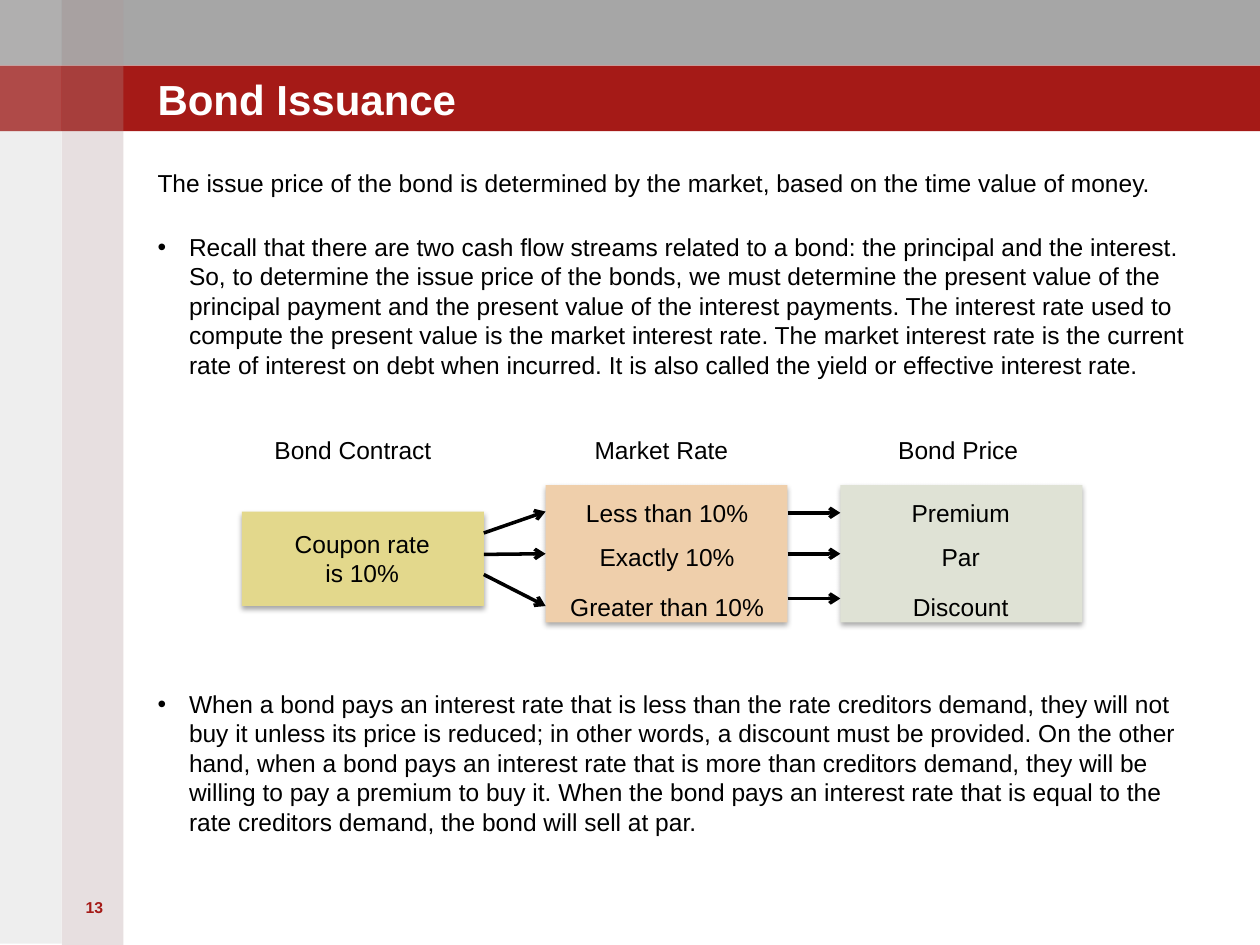
from dataclasses import dataclass
from typing import Optional

from lxml.etree import SubElement
from pptx import Presentation
from pptx.dml.color import RGBColor
from pptx.enum.shapes import MSO_CONNECTOR, MSO_SHAPE
from pptx.enum.text import MSO_ANCHOR, PP_ALIGN
from pptx.oxml.ns import qn
from pptx.util import Inches, Pt


@dataclass(frozen=True)
class Theme:
    font: str = "Arial"
    gray: str = "A6A6A6"
    red: str = "A51A17"
    rose: str = "A08284"
    stone: str = "938F8F"
    white: str = "FFFFFF"
    black: str = "000000"
    yellow: str = "E3D88C"
    orange: str = "EFCFAB"
    sage: str = "DFE2D5"
    title: float = 24
    body: float = 14
    number: float = 9
    arrow: float = 2


@dataclass(frozen=True)
class Box:
    x: float
    y: float
    w: float
    h: float


@dataclass(frozen=True)
class Stage:
    box: Box
    color: str
    text_box: Box
    lines: tuple[str, ...]
    spacing: tuple[float, ...]


@dataclass(frozen=True)
class Arrow:
    x1: float
    y1: float
    x2: float
    y2: float
    start: Optional[int] = None
    end: Optional[int] = None


THEME = Theme()
STRIP_W = 0.49
BAND_H = 0.52
ROW_SPACING = (1.4, 1.5, 1.7)

STAGES = (
    Stage(Box(1.92, 4.06, 1.92, 0.75), THEME.yellow, Box(1.75, 4.15, 2.25, 0.57),
          ("Coupon rate", "is 10%"), (1, 1)),
    Stage(Box(4.33, 3.85, 1.92, 1.09), THEME.orange, Box(4.17, 3.81, 2.25, 1.13),
          ("Less than 10%", "Exactly 10%", "Greater than 10%"), ROW_SPACING),
    Stage(Box(6.67, 3.85, 1.92, 1.09), THEME.sage, Box(6.5, 3.81, 2.25, 1.13),
          ("Premium", "Par", "Discount"), ROW_SPACING),
)
ARROWS = (
    Arrow(3.84, 4.23, 4.33, 4.06),
    Arrow(3.84, 4.4, 4.33, 4.4, end=1),
    Arrow(3.84, 4.56, 4.33, 4.81),
    Arrow(6.25, 4.07, 6.67, 4.07),
    Arrow(6.25, 4.4, 6.67, 4.4, start=1, end=2),
    Arrow(6.25, 4.75, 6.67, 4.75),
)
BODY = (
    "The issue price of the bond is determined by the market, based on the time value of money.",
    "Recall that there are two cash flow streams related to a bond: the principal and the interest. "
    "So, to determine the issue price of the bonds, we must determine the present value of the "
    "principal payment and the present value of the interest payments. The interest rate used to "
    "compute the present value is the market interest rate. The market interest rate is the current "
    "rate of interest on debt when incurred. It is also called the yield or effective interest rate.",
    "When a bond pays an interest rate that is less than the rate creditors demand, they will not "
    "buy it unless its price is reduced; in other words, a discount must be provided. On the other "
    "hand, when a bond pays an interest rate that is more than creditors demand, they will be "
    "willing to pay a premium to buy it. When the bond pays an interest rate that is equal to the "
    "rate creditors demand, the bond will sell at par.",
)
BODY_GAPS = (0, 20, 177)
HEADINGS = ("Bond Contract", "Market Rate", "Bond Price")
HEADING_TABS = (2.54, 4.95)


def add_rect(s, box: Box, color: str, alpha: int = 100):
    sp = s.shapes.add_shape(MSO_SHAPE.RECTANGLE, Inches(box.x), Inches(box.y),
                            Inches(box.w), Inches(box.h))
    sp.shadow.inherit = False
    sp.fill.solid()
    sp.fill.fore_color.rgb = RGBColor.from_string(color)
    sp.line.fill.background()
    if alpha < 100:
        clr = sp.fill._xPr.find(".//" + qn("a:srgbClr"))
        SubElement(clr, qn("a:alpha"), val=str(alpha * 1000))
    return sp


def add_shadow(sp) -> None:
    effects = sp._element.spPr.find(qn("a:effectLst"))
    shadow = SubElement(effects, qn("a:outerShdw"), blurRad=str(Pt(3.1)), dist=str(Pt(1.8)),
                        dir="5400000", rotWithShape="0")
    clr = SubElement(shadow, qn("a:srgbClr"), val=THEME.black)
    SubElement(clr, qn("a:alpha"), val="35000")


def add_text(s, box: Box, lines: tuple[str, ...], size: float, color: str = THEME.black,
             bold: bool = False, align: PP_ALIGN = PP_ALIGN.LEFT, inset: bool = True):
    tf = s.shapes.add_textbox(Inches(box.x), Inches(box.y),
                              Inches(box.w), Inches(box.h)).text_frame
    tf.word_wrap = True
    if not inset:
        tf.margin_left = tf.margin_top = tf.margin_right = tf.margin_bottom = 0
    tf.text = "\n".join(lines)
    for p in tf.paragraphs:
        p.alignment = align
        for r in p.runs:
            r.font.name = THEME.font
            r.font.size = Pt(size)
            r.font.bold = bold
            r.font.color.rgb = RGBColor.from_string(color)
    return tf


def add_bullet(p) -> None:
    pPr = p._p.get_or_add_pPr()
    pPr.set("marL", str(Inches(0.25)))
    pPr.set("indent", str(Inches(-0.25)))
    SubElement(pPr, qn("a:buFont"), typeface=THEME.font)
    SubElement(pPr, qn("a:buChar"), char="•")


def add_tabs(p, stops: tuple[float, ...]) -> None:
    tabs = SubElement(p._p.get_or_add_pPr(), qn("a:tabLst"))
    for stop in stops:
        SubElement(tabs, qn("a:tab"), pos=str(Inches(stop)), algn="l")


def add_arrow(s, arrow: Arrow, boxes: list) -> None:
    cxn = s.shapes.add_connector(MSO_CONNECTOR.STRAIGHT, Inches(arrow.x1), Inches(arrow.y1),
                                 Inches(arrow.x2), Inches(arrow.y2))
    if arrow.start is not None:
        cxn.begin_connect(boxes[arrow.start], 3)
    if arrow.end is not None:
        cxn.end_connect(boxes[arrow.end], 1)
    cxn.line.color.rgb = RGBColor.from_string(THEME.black)
    cxn.line.width = Pt(THEME.arrow)
    SubElement(cxn.line._get_or_add_ln(), qn("a:tailEnd"), type="arrow")
    SubElement(cxn._element.spPr, qn("a:effectLst"))


def add_frame(s) -> None:
    add_rect(s, Box(0, 0, 10, BAND_H), THEME.gray)
    add_rect(s, Box(0, BAND_H, 10, BAND_H), THEME.red)
    add_rect(s, Box(STRIP_W, 0, STRIP_W, 7.5), THEME.rose, 25)
    add_rect(s, Box(0, 0, STRIP_W, 7.49), THEME.stone, 15)
    for row in range(2):
        for col, alpha in enumerate((15, 5)):
            add_rect(s, Box(col * STRIP_W, row * BAND_H, STRIP_W, BAND_H), THEME.white, alpha)


def add_body(s) -> None:
    tf = add_text(s, Box(1.25, 1.33, 8.25, 5.58), BODY, THEME.body, inset=False)
    for p, gap in zip(tf.paragraphs, BODY_GAPS):
        p.space_before = Pt(gap)
    for p in tf.paragraphs[1:]:
        add_bullet(p)


def add_diagram(s) -> None:
    boxes = [add_rect(s, stage.box, stage.color) for stage in STAGES]
    for sp in boxes:
        add_shadow(sp)
    for arrow in ARROWS:
        add_arrow(s, arrow, boxes)
    tf = add_text(s, Box(2.08, 3.4, 6.42, 0.34), ("\t".join(HEADINGS),), THEME.body)
    add_tabs(tf.paragraphs[0], HEADING_TABS)
    for stage in STAGES:
        tf = add_text(s, stage.text_box, stage.lines, THEME.body, align=PP_ALIGN.CENTER)
        for p, spacing in zip(tf.paragraphs, stage.spacing):
            p.line_spacing = float(spacing)


def main() -> None:
    prs = Presentation()
    prs.slide_width, prs.slide_height = Inches(10), Inches(7.5)
    s = prs.slides.add_slide(prs.slide_layouts[6])
    add_frame(s)
    add_text(s, Box(0.5, 7.08, 0.5, 0.34), ("13",), THEME.number, THEME.red, True, PP_ALIGN.CENTER)
    title = add_text(s, Box(1.25, 0.31, 8.25, 0.67), ("Bond Issuance",), THEME.title,
                     THEME.white, True, inset=False)
    title.vertical_anchor = MSO_ANCHOR.BOTTOM
    add_body(s)
    add_diagram(s)
    prs.save("out.pptx")


if __name__ == "__main__":
    main()
